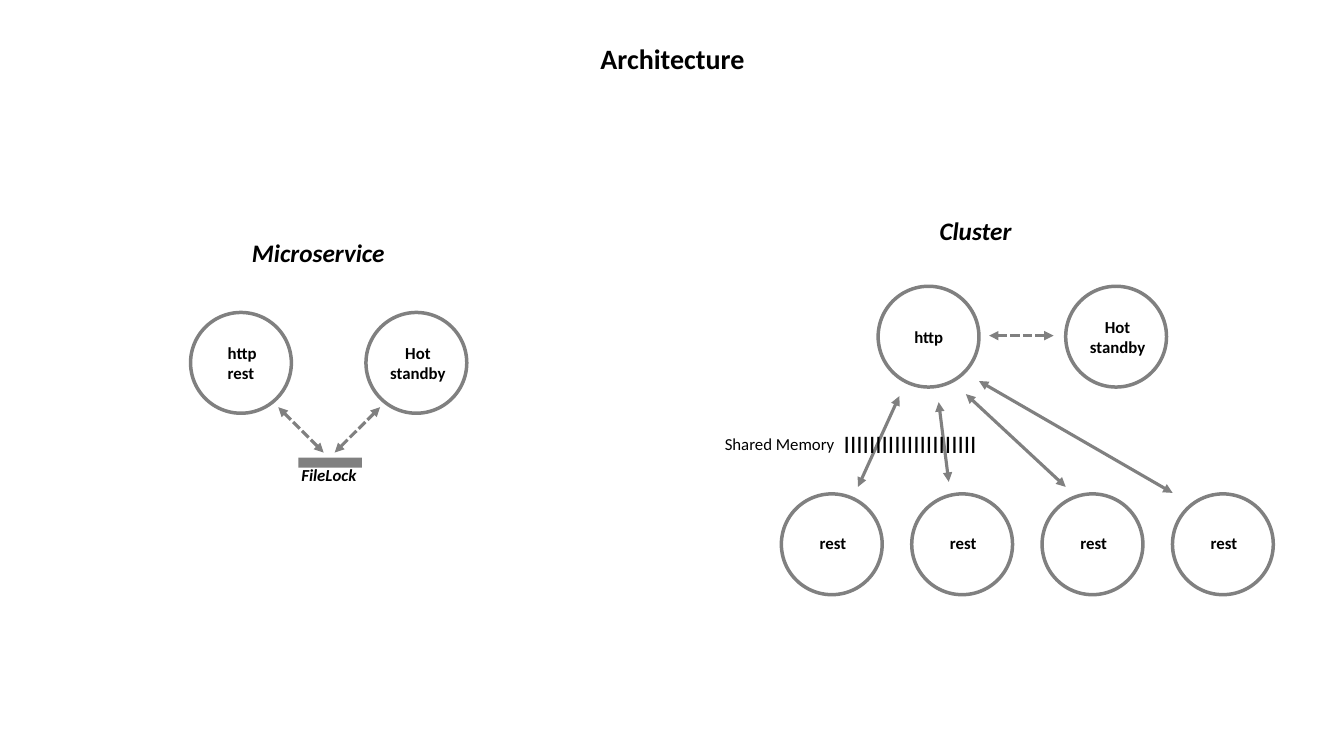
from pptx import Presentation
from pptx.dml.color import RGBColor
from pptx.enum.dml import MSO_LINE
from pptx.enum.shapes import MSO_CONNECTOR, MSO_SHAPE
from pptx.enum.text import MSO_ANCHOR, PP_ALIGN
from pptx.oxml.ns import qn
from pptx.util import Inches, Pt
from lxml.etree import SubElement


def color(code):
    return RGBColor.from_string(code)


def write(frame, text, size, bold=True, italic=False, align=PP_ALIGN.LEFT):
    frame.text = text
    for par in frame.paragraphs:
        par.alignment = align
        par.font.name = "Calibri"
        par.font.size = Pt(size)
        par.font.bold = bold
        par.font.italic = italic
        par.font.color.rgb = color("000000")


GRAY = "808080"
LEFT, MID = PP_ALIGN.LEFT, PP_ALIGN.CENTER

deck = Presentation()
deck.slide_width, deck.slide_height = Inches(13.33), Inches(7.5)
slide = deck.slides.add_slide(deck.slide_layouts[5])
shapes = slide.shapes

title = shapes.title
title.left, title.top = Inches(0.92), Inches(0.4)
title.width, title.height = Inches(11.5), Inches(1.45)
title.text_frame.vertical_anchor = MSO_ANCHOR.TOP
write(title.text_frame, "Architecture", 20, align=MID)
title.text_frame.paragraphs[0].line_spacing = 0.9

# Nodes: circle left and top, then label offset, width, height
rests = [(7.75 + 1.293 * i, 4.9, "rest", 0.28, 0.34, 0.68, 0.3, LEFT)
         for i in range(4)]
nodes = [
    (8.71, 2.84, "http", 0.26, 0.35, 0.68, 0.3, LEFT),
    (10.57, 2.84, "Hot\nstandby", 0.14, 0.25, 0.75, 0.5, MID),
    (1.89, 3.1, "http\nrest", 0.27, 0.25, 0.68, 0.5, LEFT),
    (3.63, 3.1, "Hot\nstandby", 0.14, 0.25, 0.75, 0.5, MID),
] + rests
labels = []
for x, y, text, dx, dy, w, h, align in nodes:
    ring = shapes.add_shape(MSO_SHAPE.OVAL, Inches(x), Inches(y),
                            Inches(1), Inches(1))
    ring.shadow.inherit = False
    ring.fill.background()
    ring.line.color.rgb = color(GRAY)
    ring.line.width = Pt(2.5)
    labels.append((x + dx, y + dy, w, h, text, 12, True, False, align))

# Arrows, headed at both ends
for x1, y1, x2, y2, dashed in [
    (9.81, 3.33, 10.45, 3.33, True),
    (8.92, 3.93, 8.51, 4.83, False),
    (9.31, 3.99, 9.41, 4.78, False),
    (9.58, 3.91, 10.57, 4.83, False),
    (9.71, 3.78, 11.63, 4.89, False),
    (3.32, 4.49, 3.77, 4.04, True),
    (3.21, 4.49, 2.76, 4.04, True),
]:
    arrow = shapes.add_connector(MSO_CONNECTOR.STRAIGHT, Inches(x1),
                                 Inches(y1), Inches(x2), Inches(y2))
    arrow.line.color.rgb = color(GRAY)
    arrow.line.width = Pt(2.25)
    if dashed:
        arrow.line.dash_style = MSO_LINE.SQUARE_DOT
    props = arrow.element.spPr
    for end in ("a:headEnd", "a:tailEnd"):
        SubElement(props.find(qn("a:ln")), qn(end), type="triangle")
    SubElement(props, qn("a:effectLst"))

lock = shapes.add_shape(MSO_SHAPE.RECTANGLE, Inches(2.96), Inches(4.54),
                        Inches(0.63), Inches(0.1))
lock.shadow.inherit = False
lock.fill.solid()
lock.fill.fore_color.rgb = color(GRAY)
lock.line.fill.background()

labels += [
    (8.27, 4.2, 2.84, 0.4, "I" * 21, 18, False, False, LEFT),
    (7.09, 4.25, 1.3, 0.3, "Shared Memory", 12, False, False, LEFT),
    (9.22, 2.09, 1, 0.4, "Cluster", 18, True, True, LEFT),
    (2.4, 2.31, 2.71, 0.4, "Microservice", 18, True, True, LEFT),
    (2.89, 4.56, 0.79, 0.3, "FileLock", 12, True, True, LEFT),
]
for x, y, w, h, text, size, bold, italic, align in labels:
    box = shapes.add_textbox(Inches(x), Inches(y), Inches(w), Inches(h))
    box.text_frame.word_wrap = text != "Shared Memory"
    write(box.text_frame, text, size, bold, italic, align)

deck.save("out.pptx")
